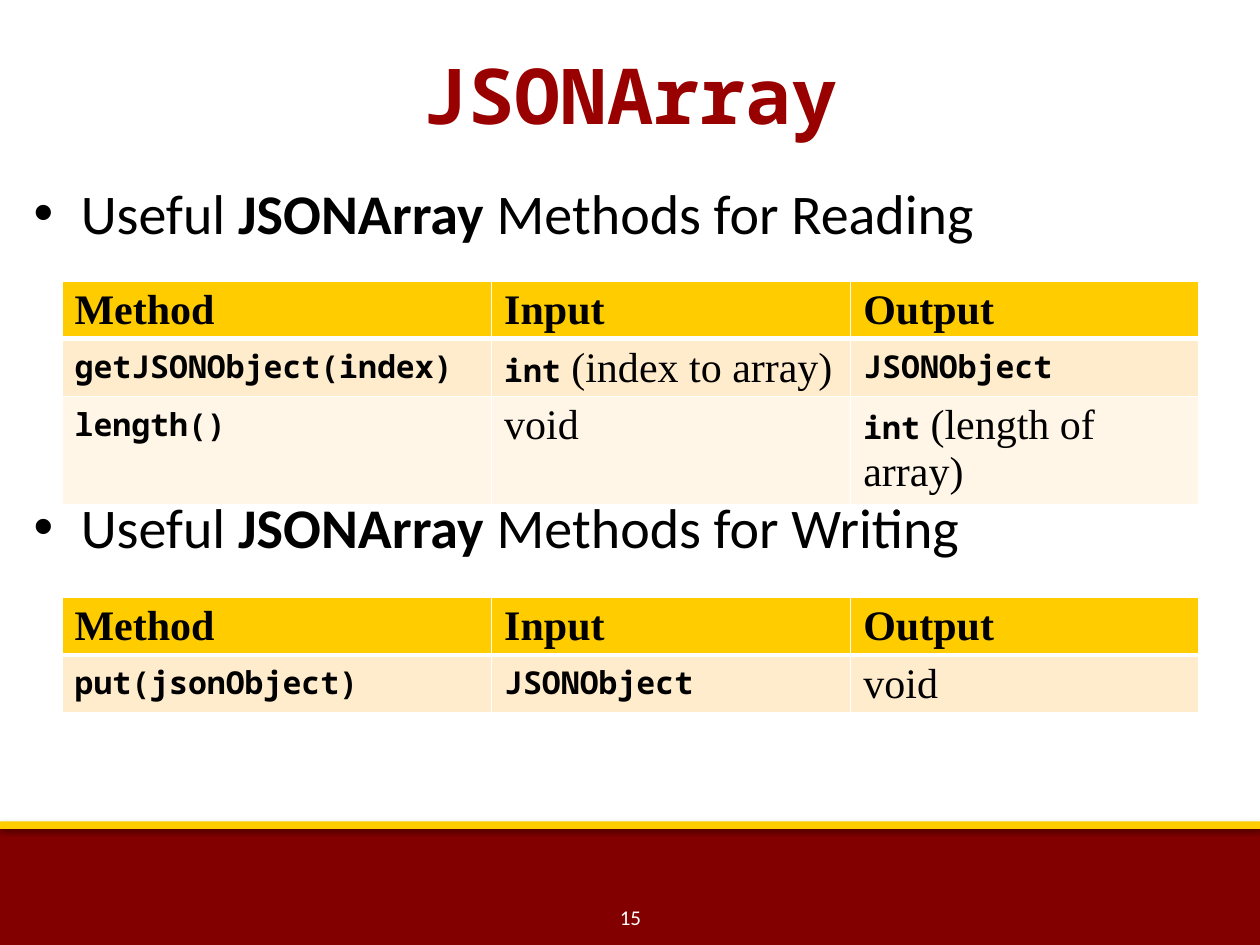
from lxml.etree import SubElement
from pptx import Presentation
from pptx.dml.color import RGBColor
from pptx.enum.shapes import MSO_SHAPE
from pptx.enum.text import MSO_ANCHOR, PP_ALIGN
from pptx.oxml import parse_xml
from pptx.oxml.ns import nsdecls, qn
from pptx.util import Cm, Pt


def color(value):
    return RGBColor.from_string(value)


def add_run(paragraph, text, font="Calibri", size=32, fill="000000", bold=False):
    run = paragraph.add_run()
    run.text = text
    run.font.name = font
    run.font.size = Pt(size)
    run.font.bold = bold
    run.font.color.rgb = color(fill)


def plain(text):
    return text, {"font": "Times New Roman", "size": 24}


def header(text):
    return text, {"font": "Times New Roman", "size": 24, "bold": True}


def code(text):
    return text, {"font": "Noto Sans Mono", "size": 18, "bold": True}


class SlideBuilder:
    gold = "FFCC00"
    maroon = "830000"
    title_red = "990000"
    white = "FFFFFF"
    bands = ("FFECCC", "FFF6E7")
    column_widths = (8.66, 7.24, 7.01)
    row_height = 1.03
    cell_bottom_margin = 0.02

    def __init__(self, slide):
        self.slide = slide

    def bar(self, top, height, fill, opacity, distance):
        shape = self.slide.shapes.add_shape(
            MSO_SHAPE.RECTANGLE, 0, Cm(top), Cm(25.4), Cm(height))
        shape.fill.solid()
        shape.fill.fore_color.rgb = color(fill)
        shape.line.fill.background()
        shape.shadow.inherit = False
        effects = shape.element.spPr.find(qn("a:effectLst"))
        effects.append(parse_xml(
            f'<a:outerShdw {nsdecls("a")} blurRad="{Pt(3.1)}" dist="{Pt(distance)}" '
            f'dir="5400000" rotWithShape="0"><a:srgbClr val="000000">'
            f'<a:alpha val="{opacity * 1000}"/></a:srgbClr></a:outerShdw>'))

    def text_box(self, left, top, width, height, anchor=MSO_ANCHOR.MIDDLE):
        shape = self.slide.shapes.add_textbox(
            Cm(left), Cm(top), Cm(width), Cm(height))
        shape.text_frame.word_wrap = True
        shape.text_frame.vertical_anchor = anchor
        return shape.text_frame

    def centered(self, box, text, **style):
        paragraph = self.text_box(*box).paragraphs[0]
        paragraph.alignment = PP_ALIGN.CENTER
        add_run(paragraph, text, **style)

    def bullets(self, box, purposes, gap):
        frame = self.text_box(*box, anchor=MSO_ANCHOR.TOP)
        for index, purpose in enumerate(purposes):
            paragraph = frame.add_paragraph() if index else frame.paragraphs[0]
            paragraph.space_before = Pt(gap if index else 0)
            properties = paragraph._p.get_or_add_pPr()
            properties.set("marL", str(Cm(0.95)))
            properties.set("indent", str(Cm(-0.95)))
            SubElement(properties, qn("a:buFont"), typeface="Arial")
            SubElement(properties, qn("a:buChar"), char="•")
            add_run(paragraph, "Useful ")
            add_run(paragraph, "JSONArray ", bold=True)
            add_run(paragraph, f"Methods for {purpose}")

    def borders(self, cell, top, bottom):
        properties = cell._tc.get_or_add_tcPr()
        for side, width in zip("LRTB", (1, 1, top, bottom)):
            properties.append(parse_xml(
                f'<a:ln{side} {nsdecls("a")} w="{Pt(width)}"><a:solidFill>'
                f'<a:srgbClr val="{self.white}"/></a:solidFill></a:ln{side}>'))

    def table(self, top, body):
        rows = [[[header(name)] for name in ("Method", "Input", "Output")], *body]
        table = self.slide.shapes.add_table(
            len(rows), len(self.column_widths), Cm(1.25), Cm(top),
            Cm(sum(self.column_widths)), Cm(self.row_height * len(rows))).table
        for column, width in zip(table.columns, self.column_widths):
            column.width = Cm(width)
        for index, row in enumerate(rows):
            table.rows[index].height = Cm(self.row_height)
            for cell, runs in zip(table.rows[index].cells, row):
                self.borders(cell, 3 if index == 1 else 1, 3 if index == 0 else 1)
                cell.margin_bottom = Cm(self.cell_bottom_margin)
                cell.fill.solid()
                cell.fill.fore_color.rgb = color(
                    self.bands[(index - 1) % 2] if index else self.gold)
                for text, style in runs:
                    add_run(cell.text_frame.paragraphs[0], text, **style)


def main():
    presentation = Presentation()
    presentation.slide_width = Cm(25.4)
    presentation.slide_height = Cm(19.05)
    builder = SlideBuilder(presentation.slides.add_slide(presentation.slide_layouts[6]))

    builder.bar(16.69, 2.36, builder.maroon, opacity=35, distance=1.8)
    builder.bar(16.56, 0.15, builder.gold, opacity=38, distance=1.6)
    builder.centered((0.43, 0.3, 24.56, 3.18), "JSONArray", font="Noto Sans Mono",
                     size=44, fill=builder.title_red, bold=True)
    builder.bullets((0.43, 3.48, 24.56, 12.98), ("Reading", "Writing"), gap=141)
    builder.centered((9.75, 17.98, 5.92, 1.02), "15", size=12, fill=builder.white)

    builder.table(5.66, [
        [[code("getJSONObject(index)")],
         [code("int"), plain(" (index to array)")],
         [code("JSONObject")]],
        [[code("length()")],
         [plain("void")],
         [code("int"), plain(" (length of array)")]],
    ])
    builder.table(12.04, [
        [[code("put(jsonObject)")], [code("JSONObject")], [plain("void")]],
    ])
    presentation.save("out.pptx")


if __name__ == "__main__":
    main()
